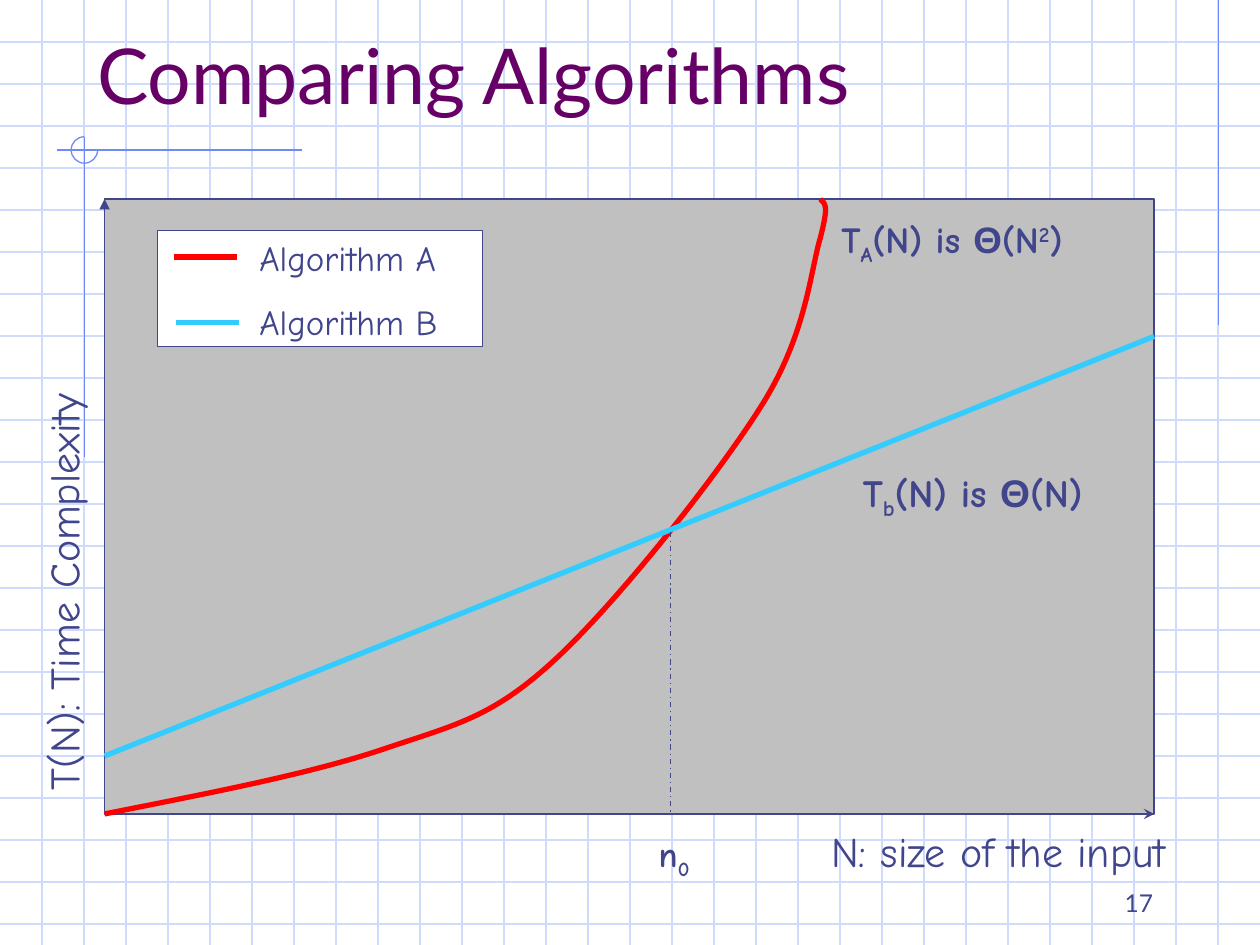
from lxml import etree
from pptx import Presentation
from pptx.dml.color import RGBColor
from pptx.enum.dml import MSO_LINE
from pptx.enum.shapes import MSO_CONNECTOR, MSO_SHAPE
from pptx.enum.text import MSO_ANCHOR, MSO_AUTO_SIZE, PP_ALIGN
from pptx.oxml.ns import qn
from pptx.util import Inches, Pt

STRAIGHT = MSO_CONNECTOR.STRAIGHT
RECTANGLE = MSO_SHAPE.RECTANGLE
DASH_DOT = MSO_LINE.DASH_DOT
TOP, BOTTOM = MSO_ANCHOR.TOP, MSO_ANCHOR.BOTTOM
LEFT, RIGHT = PP_ALIGN.LEFT, PP_ALIGN.RIGHT
GROW, FIXED = MSO_AUTO_SIZE.SHAPE_TO_FIT_TEXT, MSO_AUTO_SIZE.NONE

SLIDE_WIDTH, SLIDE_HEIGHT = 10, 7.5
INK, PURPLE, GRID, ACCENT = "40458C", "660066", "CFDBFD", "6F89F7"
GRAY, WHITE, RED, CYAN = "C0C0C0", "FFFFFF", "FF0000", "33CCFF"
HAND, SANS, GREEK = "Comic Neue", "Lato", "Arial"
SUB, SUPER = -25000, 30000


def color(hex_value):
    return RGBColor.from_string(hex_value)


def set_all(target, values):
    for name, value in values.items():
        setattr(target, name, value)


def inches(*lengths):
    return [Inches(length) for length in lengths]


def style_line(line, hex_value, weight):
    line.color.rgb = color(hex_value)
    line.width = Pt(weight)


def add_line(slide, start, end, hex_value, weight=0.75, dash=None, arrow=None):
    segment = slide.shapes.add_connector(STRAIGHT, *inches(*start, *end))
    style_line(segment.line, hex_value, weight)
    if dash:
        segment.line.dash_style = dash
    properties = segment._element.spPr
    if arrow:
        etree.SubElement(properties.find(qn("a:ln")), qn("a:tailEnd"), type=arrow)
    etree.SubElement(properties, qn("a:effectLst"))


def add_panel(slide, box, fill):
    panel = slide.shapes.add_shape(RECTANGLE, *inches(*box))
    panel.shadow.inherit = False
    panel.fill.solid()
    panel.fill.fore_color.rgb = color(fill)
    style_line(panel.line, INK, 0.75)


def add_curve(slide, points, hex_value, weight):
    start, *controls = points
    builder = slide.shapes.build_freeform(*inches(*start))
    builder.add_line_segments([inches(*point) for point in controls], close=False)
    curve = builder.convert_to_shape()
    curve.shadow.inherit = False
    curve.fill.background()
    style_line(curve.line, hex_value, weight)
    outline = next(curve._element.iter(qn("a:path")))
    segments = outline.findall(qn("a:lnTo"))
    for first in range(0, len(segments), 3):
        bezier = etree.SubElement(outline, qn("a:cubicBezTo"))
        for segment in segments[first:first + 3]:
            bezier.append(segment[0])
            outline.remove(segment)


def write(frame, paragraphs, size, hex_value=INK, font=HAND, bold=False,
          align=LEFT, before=0, anchor=TOP, fit=GROW):
    set_all(frame, {"word_wrap": True, "auto_size": fit, "vertical_anchor": anchor})
    for index, runs in enumerate(paragraphs):
        paragraph = frame.add_paragraph() if index else frame.paragraphs[0]
        set_all(paragraph, {"alignment": align, "space_before": Pt(before)})
        for text, baseline in runs:
            run = paragraph.add_run()
            run.text = text
            face = GREEK if text == "Θ" else font
            set_all(run.font, {"name": face, "size": Pt(size), "bold": bold})
            run.font.color.rgb = color(hex_value)
            if baseline:
                run._r.get_or_add_rPr().set("baseline", str(baseline))


def add_label(slide, box, paragraphs, size, rotation=0, **formats):
    label = slide.shapes.add_textbox(*inches(*box))
    label.rotation = rotation
    write(label.text_frame, paragraphs, size, **formats)


def add_background(slide, width, height):
    for row in range(1, int(height * 3) + 1):
        add_line(slide, (0, row / 3), (width, row / 3), GRID)
    for column in range(1, int(width * 3)):
        add_line(slide, (column / 3, 0), (column / 3, height), GRID)
    add_line(slide, (width - 0.33, 0), (width - 0.33, 2.58), ACCENT)


def add_corner_mark(slide, x, y, radius=0.105):
    add_line(slide, (x + 1.73, y), (x - 0.22, y), ACCENT)
    add_line(slide, (x, y - 0.1), (x, y + 2.44), ACCENT)
    pull = radius * 0.55
    arc = [(0, -radius), (-pull, -radius), (-radius, -pull), (-radius, 0),
           (-radius, pull), (-pull, radius), (0, radius),
           (pull, radius), (radius, pull), (radius, 0)]
    add_curve(slide, [(x + dx, y + dy) for dx, dy in arc], ACCENT, 0.75)


def add_title(slide, box):
    title = slide.shapes.title
    title._element.getparent().append(title._element)
    set_all(title, dict(zip(("left", "top", "width", "height"), inches(*box))))
    write(title.text_frame, [[("Comparing Algorithms", 0)]], 44, PURPLE, SANS,
          anchor=BOTTOM, fit=FIXED)


def add_legend(slide, box):
    left, top, width, height = box
    add_panel(slide, box, WHITE)
    add_label(slide, (left + 0.71, top, 2, 0.94),
              [[("Algorithm A", 0)], [("Algorithm B", 0)]], 20, before=12.5)
    for dx, dy, key_color in ((0.13, 0.21, RED), (0.15, 0.73, CYAN)):
        add_line(slide, (left + dx, top + dy), (left + dx + 0.5, top + dy), key_color, 3)


def add_plot(slide, box):
    left, top, width, height = box
    right, bottom = left + width, top + height

    def inside(dx, dy):
        return left + dx, top + dy

    add_label(slide, (-1.79, 3.83, 4.58, 0.5), [[("T(N): Time Complexity", 0)]], 24,
              rotation=270, before=15)
    add_panel(slide, box, GRAY)
    quadratic = [(0, 4.88), (0.8, 4.72), (1.6, 4.57), (2.2, 4.37),
                 (2.79, 4.17), (3.07, 4.12), (3.57, 3.66),
                 (4.07, 3.2), (4.87, 2.19), (5.22, 1.63),
                 (5.57, 1.07), (5.6, 0.58), (5.68, 0.31),
                 (5.75, 0.04), (5.72, 0.04), (5.68, 0)]
    add_curve(slide, [inside(*point) for point in quadratic], RED, 3)
    add_line(slide, inside(0, 4.42), (right, top + 1.09), CYAN, 3)
    add_line(slide, inside(4.49, 2.64), (left + 4.49, bottom), INK, dash=DASH_DOT)
    add_label(slide, (*inside(4.3, 4.98), 0.73, 0.48), [[("n", 0), ("0", SUB)]], 20,
              bold=True, before=12.5)
    add_legend(slide, (*inside(0.42, 0.25), 2.58, 0.92))
    add_line(slide, (right - 0.5, bottom), (right, bottom), INK, arrow="stealth")
    add_line(slide, (left, top + 0.67), (left, top), INK, arrow="triangle")
    add_label(slide, (*inside(5.75, 0.09), 2.33, 0.5),
              [[("T", 0), ("A", SUB), ("(N) is ", 0), ("Θ", 0),
                ("(N", 0), ("2", SUPER), (")", 0)]], 21, bold=True, before=13.1)
    add_label(slide, (*inside(5.92, 2.09), 2.67, 0.52),
              [[("T", 0), ("b", SUB), ("(N) is ", 0), ("Θ", 0), ("(N)", 0)]], 22,
              bold=True, before=13.8)
    add_label(slide, (6.5, bottom + 0.04, 3.5, 0.5), [[("N: size of the input", 0)]], 24,
              before=15)


def main():
    deck = Presentation()
    deck.slide_width, deck.slide_height = inches(SLIDE_WIDTH, SLIDE_HEIGHT)
    slide = deck.slides.add_slide(deck.slide_layouts[5])
    slide.background.fill.solid()
    slide.background.fill.fore_color.rgb = color(WHITE)
    add_background(slide, SLIDE_WIDTH, SLIDE_HEIGHT)
    add_corner_mark(slide, 0.67, 1.19)
    add_label(slide, (7.17, 7.08, 2.08, 0.25), [[("17", 0)]], 14, font=SANS,
              align=RIGHT, anchor=BOTTOM, fit=FIXED)
    add_title(slide, (0.67, 0.33, 9, 0.67))
    add_plot(slide, (0.83, 1.58, 8.33, 4.88))
    deck.save("out.pptx")


if __name__ == "__main__":
    main()
